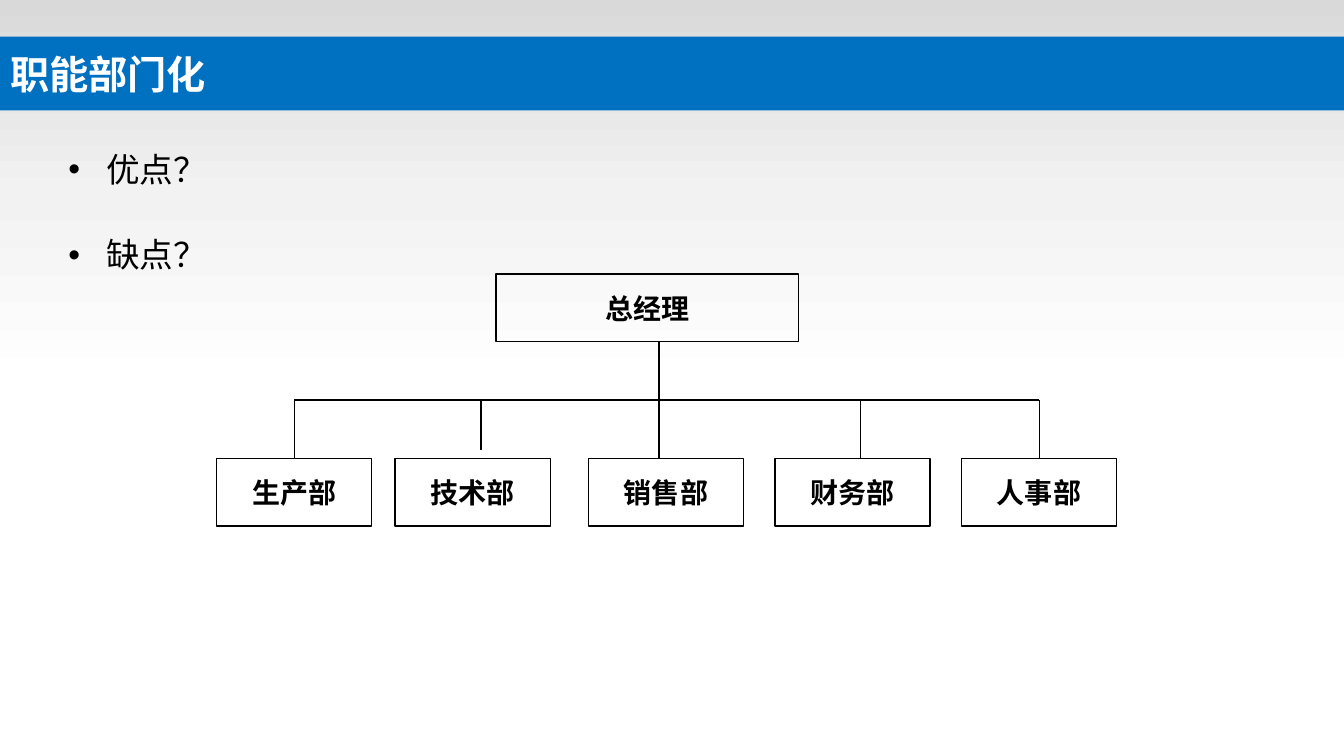
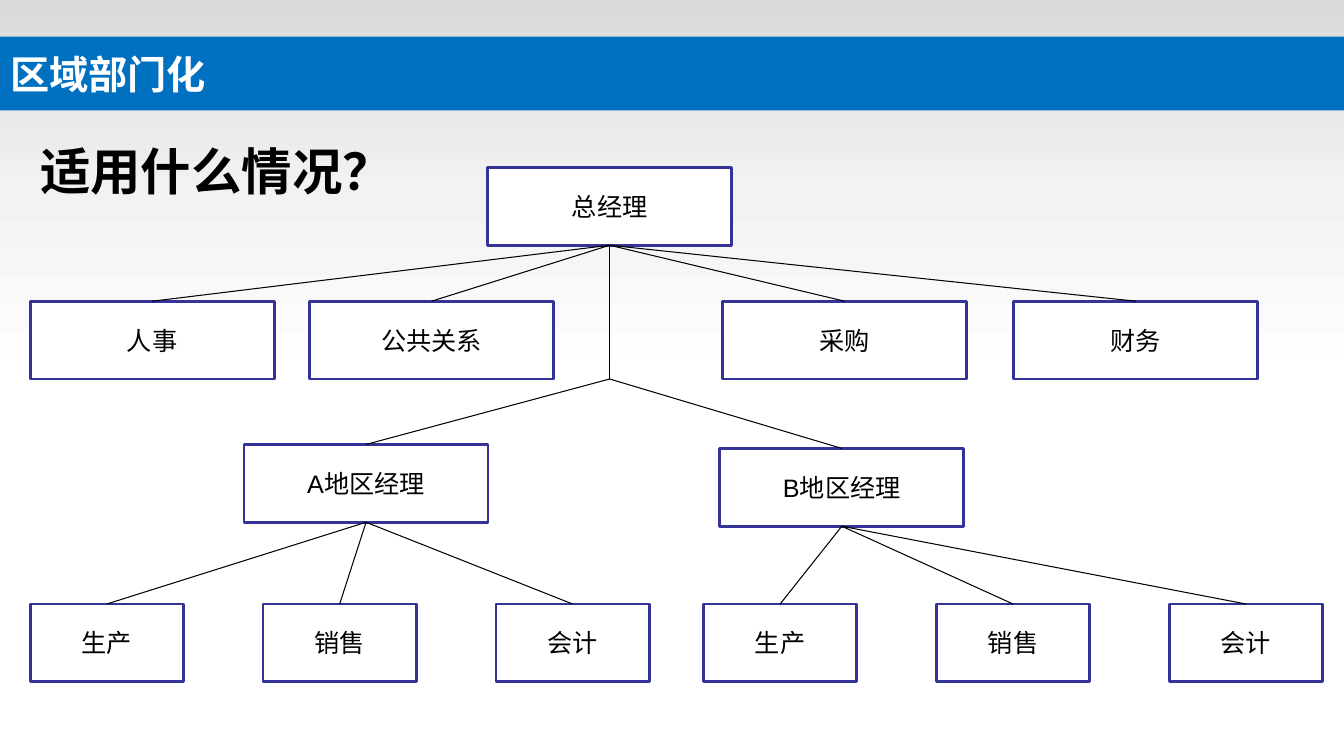
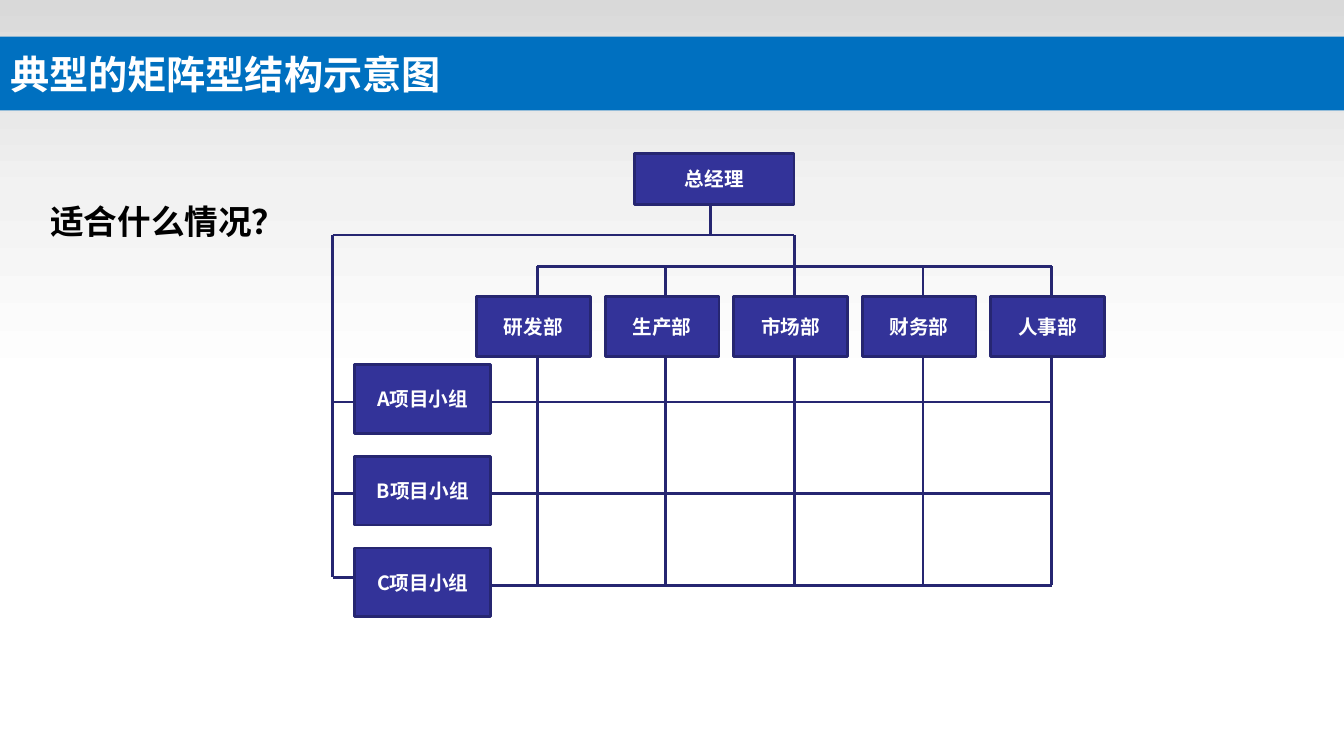
from copy import deepcopy
from dataclasses import dataclass
from typing import NamedTuple, Optional

from pptx import Presentation
from pptx.dml.color import RGBColor
from pptx.enum.shapes import MSO_CONNECTOR, MSO_SHAPE
from pptx.enum.text import MSO_ANCHOR, MSO_AUTO_SIZE, PP_ALIGN
from pptx.oxml.ns import qn
from pptx.oxml.xmlchemy import OxmlElement
from pptx.slide import Slide
from pptx.util import Cm, Pt

RECTANGLE = MSO_SHAPE.RECTANGLE
STRAIGHT = MSO_CONNECTOR.STRAIGHT
MIDDLE = MSO_ANCHOR.MIDDLE
NO_AUTOFIT = MSO_AUTO_SIZE.NONE
LEFT, CENTER = PP_ALIGN.LEFT, PP_ALIGN.CENTER

CJK_FONT, LATIN_FONT = "Noto Sans CJK SC", "Arial"
BLACK, WHITE, BLUE = "000000", "FFFFFF", "0070C0"
INDIGO, NAVY = "333399", "262671"
BACKDROP_STOPS = ((0, "D9D9D9"), (0.5, "F2F2F2"), (1, WHITE))
PAGE_WIDTH, PAGE_HEIGHT = 33.87, 19.05
TITLE_LAYOUT, LIST_LAYOUT = 5, 1


class Point(NamedTuple):
    x: float
    y: float


class Stroke(NamedTuple):
    color: str
    width: float


class TextStyle(NamedTuple):
    size: float
    color: str = BLACK
    bold: bool = False
    font: str = CJK_FONT


class BoxStyle(NamedTuple):
    fill: Optional[str]
    stroke: Stroke
    text: TextStyle


@dataclass
class Box:
    """A labelled rectangle, measured in centimetres."""
    label: str
    left: float
    top: float
    width: float
    height: float

    @property
    def head(self) -> Point:
        return Point(self.left + self.width / 2, self.top)

    @property
    def foot(self) -> Point:
        return Point(self.left + self.width / 2, self.top + self.height)


TITLE_TEXT = TextStyle(28, WHITE, True)
LIST_TEXT = TextStyle(24)
THIN, HAIRLINE, THICK = Stroke(BLACK, 1), Stroke(BLACK, 0.75), Stroke(NAVY, 2)
OUTLINED = BoxStyle(None, THIN, TextStyle(20, BLACK, True))
FRAMED = BoxStyle(WHITE, Stroke(INDIGO, 2), TextStyle(18, font=LATIN_FONT))
SOLID = BoxStyle(INDIGO, THICK, TextStyle(14, WHITE, True))


def color_of(value: str) -> RGBColor:
    return RGBColor.from_string(value)


def apply_format(target, values: dict) -> None:
    for name, value in values.items():
        setattr(target, name, value)


def place(shape, left: float, top: float, width: float, height: float) -> None:
    apply_format(shape, {"left": Cm(left), "top": Cm(top),
                         "width": Cm(width), "height": Cm(height)})


def write(para, text: str, style: TextStyle, **layout) -> None:
    """Add one formatted span to a paragraph."""
    span = para.add_run()
    span.text = text
    apply_format(span.font, {"size": Pt(style.size), "bold": style.bold, "name": style.font})
    span.font.color.rgb = color_of(style.color)
    east_asian = OxmlElement("a:ea")
    east_asian.set("typeface", CJK_FONT)
    span.font._element.find(qn("a:latin")).addnext(east_asian)
    apply_format(para, layout)


def add_box(page: Slide, box: Box, style: BoxStyle) -> None:
    shape = page.shapes.add_shape(RECTANGLE, Cm(box.left), Cm(box.top),
                                  Cm(box.width), Cm(box.height))
    shape.shadow.inherit = False
    if style.fill is None:
        shape.fill.background()
    else:
        shape.fill.solid()
        shape.fill.fore_color.rgb = color_of(style.fill)
    shape.line.color.rgb = color_of(style.stroke.color)
    shape.line.width = Pt(style.stroke.width)
    apply_format(shape.text_frame, {"word_wrap": False, "vertical_anchor": MIDDLE})
    write(shape.text_frame.paragraphs[0], box.label, style.text, alignment=CENTER)


def add_line(page: Slide, start: Point, end: Point, stroke: Stroke) -> None:
    line = page.shapes.add_connector(STRAIGHT, Cm(start.x), Cm(start.y), Cm(end.x), Cm(end.y))
    line.line.color.rgb = color_of(stroke.color)
    line.line.width = Pt(stroke.width)
    line.element.spPr.append(OxmlElement("a:effectLst"))


def add_horizontal(page: Slide, y: float, left: float, right: float, stroke: Stroke) -> None:
    add_line(page, Point(left, y), Point(right, y), stroke)


def add_vertical(page: Slide, x: float, top: float, bottom: float, stroke: Stroke) -> None:
    add_line(page, Point(x, top), Point(x, bottom), stroke)


def add_question(page: Slide, text: str, size: float, left: float, top: float,
                 width: float, height: float) -> None:
    box = page.shapes.add_textbox(Cm(left), Cm(top), Cm(width), Cm(height))
    box.text_frame.word_wrap = True
    write(box.text_frame.paragraphs[0], text, TextStyle(size, BLACK, True, LATIN_FONT))


def add_page(deck, title: str, layout: int = TITLE_LAYOUT) -> Slide:
    """Add a page with the blue title band."""
    page = deck.slides.add_slide(deck.slide_layouts[layout])
    band = page.shapes.title
    place(band, 0, 0.92, PAGE_WIDTH, 1.86)
    band.fill.solid()
    band.fill.fore_color.rgb = color_of(BLUE)
    apply_format(band.text_frame, {"vertical_anchor": MIDDLE, "auto_size": NO_AUTOFIT})
    write(band.text_frame.paragraphs[0], title, TITLE_TEXT, alignment=LEFT)
    return page


def set_backdrop(deck, page: Slide) -> None:
    """Draw the grey fade and move it to the master, behind every page."""
    fade = page.shapes.add_shape(RECTANGLE, 0, 0, Cm(PAGE_WIDTH), Cm(9.73))
    fade.shadow.inherit = False
    fade.line.fill.background()
    fade.fill.gradient()
    fade.fill.gradient_angle = 270
    stops = fade.element.spPr.find(qn("a:gradFill")).find(qn("a:gsLst"))
    stops.insert(1, deepcopy(stops[0]))
    for stop, (position, color) in zip(fade.fill.gradient_stops, BACKDROP_STOPS):
        stop.position = position
        stop.color.rgb = color_of(color)
    deck.slide_master.shapes.element.insert(2, fade.element)


def build_functional(deck) -> None:
    page = add_page(deck, "职能部门化", LIST_LAYOUT)
    set_backdrop(deck, page)

    # Questions
    body = page.placeholders[1]
    place(body, 1.47, 3.73, 30.66, 13.28)
    frame = body.text_frame
    frame.auto_size = NO_AUTOFIT
    write(frame.paragraphs[0], "优点？", LIST_TEXT, line_spacing=0.9)
    write(frame.add_paragraph(), "缺点？", LIST_TEXT, line_spacing=0.9, space_before=Pt(35))

    # Boxes and the lines that drop to them
    manager = Box("总经理", 12.5, 6.91, 7.62, 1.7)
    add_box(page, manager, OUTLINED)
    bus, top = 10.08, 11.56
    departments = (("生产部", 5.46, 7.42, top), ("技术部", 9.96, 12.12, 11.35),
                   ("销售部", 14.83, 16.61, top), ("财务部", 19.53, 21.69, top),
                   ("人事部", 24.23, 26.19, top))
    for label, left, drop, end in departments:
        add_box(page, Box(label, left, top, 3.91, 1.7), OUTLINED)
        add_vertical(page, drop, bus, end, THIN)
    add_horizontal(page, bus, 7.42, 26.19, THIN)
    add_vertical(page, 16.61, manager.foot.y, bus, THIN)


def build_regional(deck) -> None:
    page = add_page(deck, "区域部门化")
    width, height, leaf_width, leaf_step = 6.15, 1.96, 3.86, 5.87

    # Head office
    manager = Box("总经理", 12.29, 4.22, width, height)
    staff = [Box(label, left, 7.59, width, height) for label, left in
             (("人事", 0.76), ("公共关系", 7.8), ("采购", 18.21), ("财务", 25.55))]
    fork = Point(manager.foot.x, 9.55)
    boxes = [manager, *staff]
    links = [(manager.foot, box.head) for box in staff] + [(manager.foot, fork)]

    # Regions, each with three units
    for label, left, top, first in (("A地区经理", 6.15, 11.2, 0.76),
                                    ("B地区经理", 18.14, 11.3, 17.73)):
        region = Box(label, left, top, width, height)
        units = [Box(name, first + index * leaf_step, 15.22, leaf_width, height)
                 for index, name in enumerate(("生产", "销售", "会计"))]
        boxes += [region, *units]
        links += [(fork, region.head)] + [(region.foot, unit.head) for unit in units]

    for box in boxes:
        add_box(page, box, FRAMED)
    for start, end in links:
        add_line(page, start, end, HAIRLINE)
    add_question(page, "适用什么情况？", 36, 0.76, 3.4, 9.6, 1.8)


def build_matrix(deck) -> None:
    page = add_page(deck, "典型的矩阵型结构示意图")
    column_step, row_step = 3.24, 2.31
    first_column, first_row = 13.54, 10.13
    last_column, last_row = first_column + 4 * column_step, first_row + 2 * row_step
    trunk, upper_bus, lower_bus, trunk_end = 8.38, 5.92, 6.71, 14.55
    market = first_column + 2 * column_step
    manager = Box("总经理", 16, 3.86, 4.01, 1.3)
    boxes = [manager]

    # Main lines
    add_vertical(page, 17.91, manager.foot.y, upper_bus, THICK)
    add_horizontal(page, upper_bus, trunk, market, THICK)
    add_vertical(page, trunk, upper_bus, trunk_end, THICK)
    add_vertical(page, market, upper_bus, lower_bus, THICK)
    add_horizontal(page, lower_bus, first_column, last_column, THICK)

    # Department columns
    for index, label in enumerate(("研发部", "生产部", "市场部", "财务部", "人事部")):
        box = Box(label, 12.01 + index * column_step, 7.47, 2.87, 1.52)
        add_vertical(page, first_column + index * column_step, lower_bus, last_row, THICK)
        boxes.append(box)

    # Project rows
    for index, label in enumerate(("A项目小组", "B项目小组", "C项目小组")):
        box = Box(label, 8.94, 9.19 + index * row_step, 3.43, 1.73)
        row = first_row + index * row_step
        add_horizontal(page, min(row, trunk_end), trunk, box.left, THICK)
        add_horizontal(page, row, box.left + box.width, last_column, THICK)
        boxes.append(box)

    for box in boxes:
        add_box(page, box, SOLID)
    add_question(page, "适合什么情况？", 24, 1.02, 4.95, 7.09, 1.27)


def main() -> None:
    deck = Presentation()
    deck.slide_width, deck.slide_height = Cm(PAGE_WIDTH), Cm(PAGE_HEIGHT)
    for build in (build_functional, build_regional, build_matrix):
        build(deck)
    deck.save("out.pptx")


if __name__ == "__main__":
    main()
